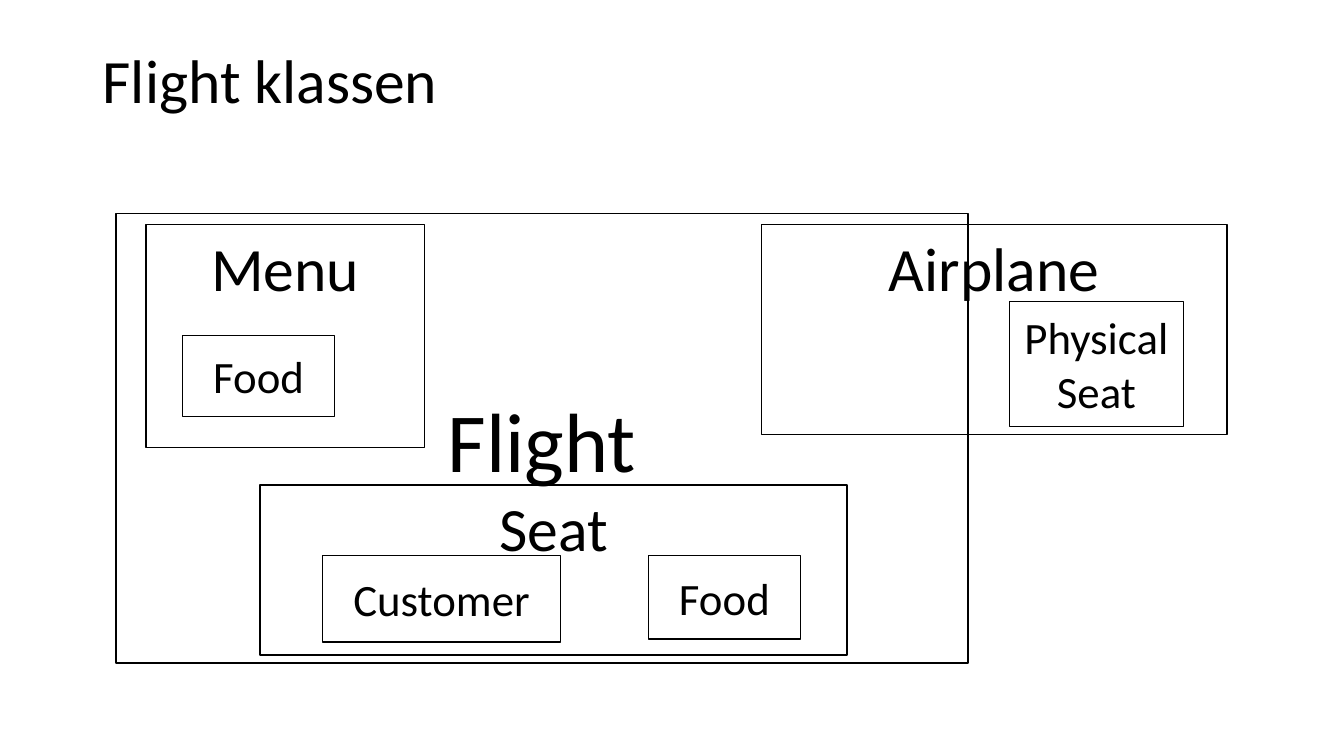
from dataclasses import dataclass

from pptx import Presentation
from pptx.dml.color import RGBColor
from pptx.enum.shapes import MSO_SHAPE
from pptx.enum.text import MSO_ANCHOR, PP_ALIGN
from pptx.slide import Slide
from pptx.text.text import TextFrame
from pptx.util import Emu, Pt

EMU_PER_PX = 9144
BLACK = RGBColor(0x00, 0x00, 0x00)
FONT = "Calibri"
TITLE_SIZE = 44


@dataclass(frozen=True)
class ClassBox:
    label: str
    left: int
    top: int
    width: int
    height: int
    size: int = 32
    anchor: MSO_ANCHOR = MSO_ANCHOR.MIDDLE


CLASS_BOXES = (
    ClassBox("Flight", 115, 212, 845, 446, 60),
    ClassBox("Seat", 258, 481, 582, 169, 44, MSO_ANCHOR.TOP),
    ClassBox("Physical|Seat", 1001, 299, 173, 124),
    ClassBox("Airplane", 755, 223, 462, 208, 44, MSO_ANCHOR.TOP),
    ClassBox("Customer", 320, 551, 236, 86),
    ClassBox("Food", 181, 333, 151, 80),
    ClassBox("Menu", 145, 223, 276, 221, 44, MSO_ANCHOR.TOP),
    ClassBox("Food", 643, 551, 151, 83),
)


def px(length: int) -> Emu:
    return Emu(length * EMU_PER_PX)


def apply_format(target: object, values: dict[str, object]) -> None:
    for name, value in values.items():
        setattr(target, name, value)


def write_text(
    frame: TextFrame,
    label: str,
    size: int,
    anchor: MSO_ANCHOR,
    para_format: dict[str, object],
) -> None:
    apply_format(frame, {"word_wrap": True, "vertical_anchor": anchor})
    para = frame.paragraphs[0]
    apply_format(para, para_format)
    for index, line in enumerate(label.split("|")):
        if index:
            para.add_line_break()
        span = para.add_run()
        span.text = line
        apply_format(span.font, {"name": FONT, "size": Pt(size)})
        span.font.color.rgb = BLACK


def draw_title(page: Slide, title: str) -> None:
    box = page.shapes.add_textbox(px(92), px(40), px(1150), px(86))
    write_text(
        box.text_frame, title, TITLE_SIZE, MSO_ANCHOR.MIDDLE, {"line_spacing": 0.9}
    )


def draw_class_box(page: Slide, item: ClassBox) -> None:
    box = page.shapes.add_shape(
        MSO_SHAPE.RECTANGLE,
        px(item.left),
        px(item.top),
        px(item.width),
        px(item.height),
    )
    box.shadow.inherit = False
    box.fill.background()
    box.line.color.rgb = BLACK
    box.line.width = Pt(1)
    write_text(
        box.text_frame,
        item.label,
        item.size,
        item.anchor,
        {"alignment": PP_ALIGN.CENTER},
    )


def main() -> None:
    deck = Presentation()
    apply_format(deck, {"slide_width": px(1333), "slide_height": px(750)})
    page = deck.slides.add_slide(deck.slide_layouts[6])
    draw_title(page, "Flight klassen")
    for item in CLASS_BOXES:
        draw_class_box(page, item)
    deck.save("out.pptx")


if __name__ == "__main__":
    main()
